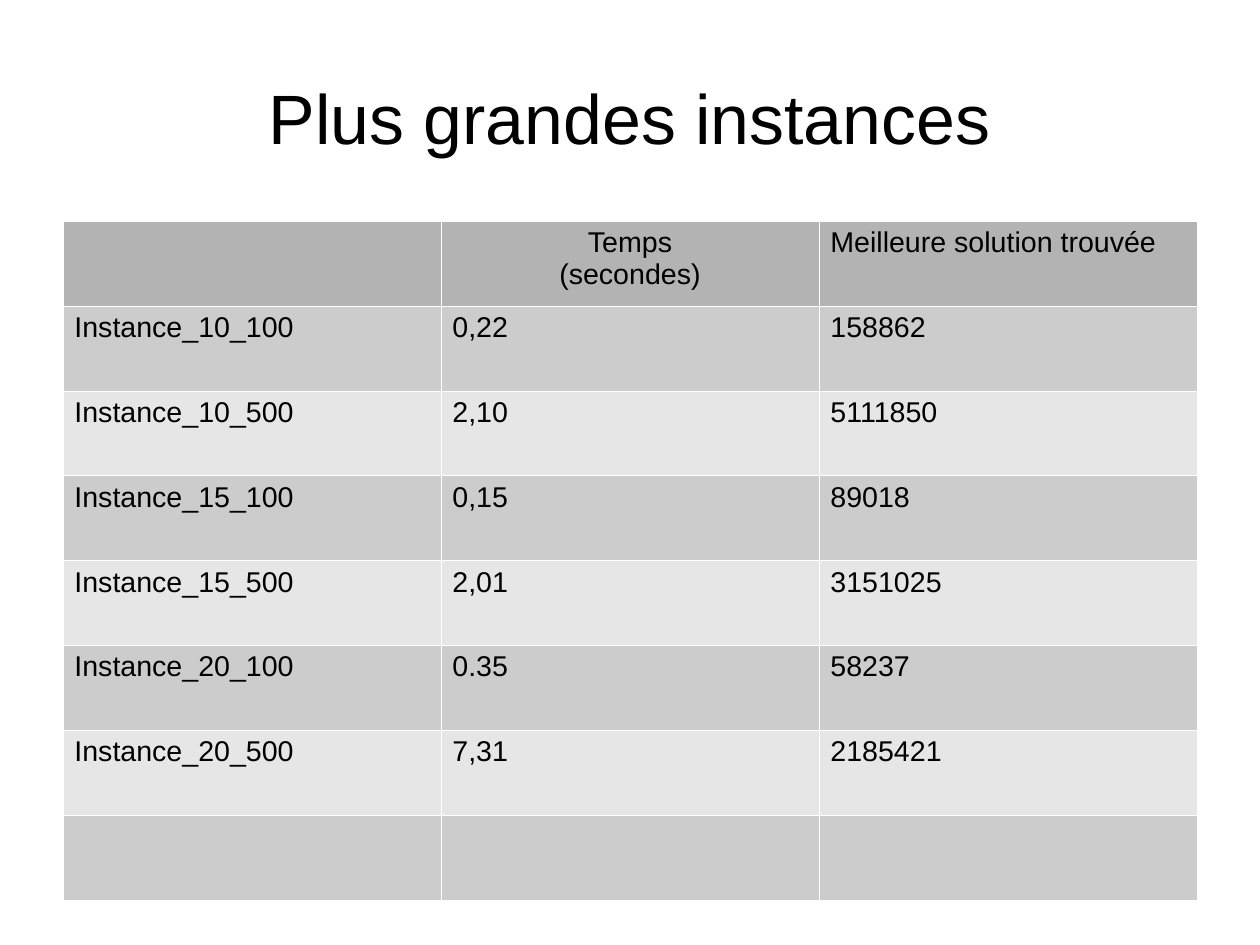
"""Build the slide that lists solving times for the larger instances."""
from dataclasses import dataclass

from lxml.etree import SubElement
from pptx import Presentation
from pptx.dml.color import RGBColor
from pptx.enum.text import MSO_ANCHOR, PP_ALIGN as Align
from pptx.oxml.ns import qn
from pptx.util import Cm, Pt

SLIDE_W, SLIDE_H = 28, 21
LEFT, WIDTH = 0.05 * SLIDE_W, 0.9 * SLIDE_W
TITLE_TOP, TITLE_H = 0.04 * SLIDE_H, 3.5
TABLE_TOP, TABLE_H = 4.91, 15.09
FONT, BLACK, WHITE = "Arial", "000000", "FFFFFF"
HEADER_FILL, BAND_FILLS = "B3B3B3", ("CCCCCC", "E6E6E6")
BORDER_PT = 0.06


@dataclass
class Entry:
    lines: tuple[str, ...] = ()
    align: Align = Align.LEFT


@dataclass
class Result:
    instance: str
    seconds: str
    best: str


HEADER = [Entry(), Entry(("Temps", "(secondes)"), Align.CENTER),
          Entry(("Meilleure solution trouvée",))]
RESULTS = [
    Result("Instance_10_100", "0,22", "158862"),
    Result("Instance_10_500", "2,10", "5111850"),
    Result("Instance_15_100", "0,15", "89018"),
    Result("Instance_15_500", "2,01", "3151025"),
    Result("Instance_20_100", "0.35", "58237"),
    Result("Instance_20_500", "7,31", "2185421"),
]


def color(value: str) -> RGBColor:
    return RGBColor.from_string(value)


def write(frame, entry: Entry, size: float) -> None:
    for index, line in enumerate(entry.lines):
        paragraph = frame.add_paragraph() if index else frame.paragraphs[0]
        paragraph.alignment = entry.align
        run = paragraph.add_run()
        run.text = line
        run.font.name, run.font.size = FONT, Pt(size)
        run.font.color.rgb = color(BLACK)


def add_borders(cell) -> None:
    properties = cell._tc.get_or_add_tcPr()
    for position, side in enumerate(("lnL", "lnR", "lnT", "lnB")):
        border = SubElement(properties, qn(f"a:{side}"), w=str(int(Pt(BORDER_PT))))
        fill = SubElement(border, qn("a:solidFill"))
        SubElement(fill, qn("a:srgbClr"), val=WHITE)
        properties.insert(position, border)


def draw_title(slide, title: str) -> None:
    box = slide.shapes.add_textbox(Cm(LEFT), Cm(TITLE_TOP), Cm(WIDTH), Cm(TITLE_H))
    frame = box.text_frame
    frame.word_wrap = True
    frame.vertical_anchor = MSO_ANCHOR.MIDDLE
    frame.margin_left = frame.margin_right = 0
    frame.margin_top = frame.margin_bottom = 0
    write(frame, Entry((title,), Align.CENTER), 44)


def draw_table(slide, rows: list[list[Entry]]) -> None:
    table = slide.shapes.add_table(
        len(rows), len(HEADER), Cm(LEFT), Cm(TABLE_TOP), Cm(WIDTH), Cm(TABLE_H)).table
    for row_index, entries in enumerate(rows):
        shade = BAND_FILLS[(row_index - 1) % 2] if row_index else HEADER_FILL
        for column, entry in enumerate(entries):
            cell = table.cell(row_index, column)
            cell.fill.solid()
            cell.fill.fore_color.rgb = color(shade)
            add_borders(cell)
            write(cell.text_frame, entry, 18)


def main() -> None:
    deck = Presentation()
    deck.slide_width, deck.slide_height = Cm(SLIDE_W), Cm(SLIDE_H)
    slide = deck.slides.add_slide(deck.slide_layouts[6])
    draw_title(slide, "Plus grandes instances")
    body = [[Entry((value,)) for value in (result.instance, result.seconds, result.best)]
            for result in RESULTS]
    draw_table(slide, [HEADER, *body, [Entry() for _ in HEADER]])
    deck.save("out.pptx")


if __name__ == "__main__":
    main()
